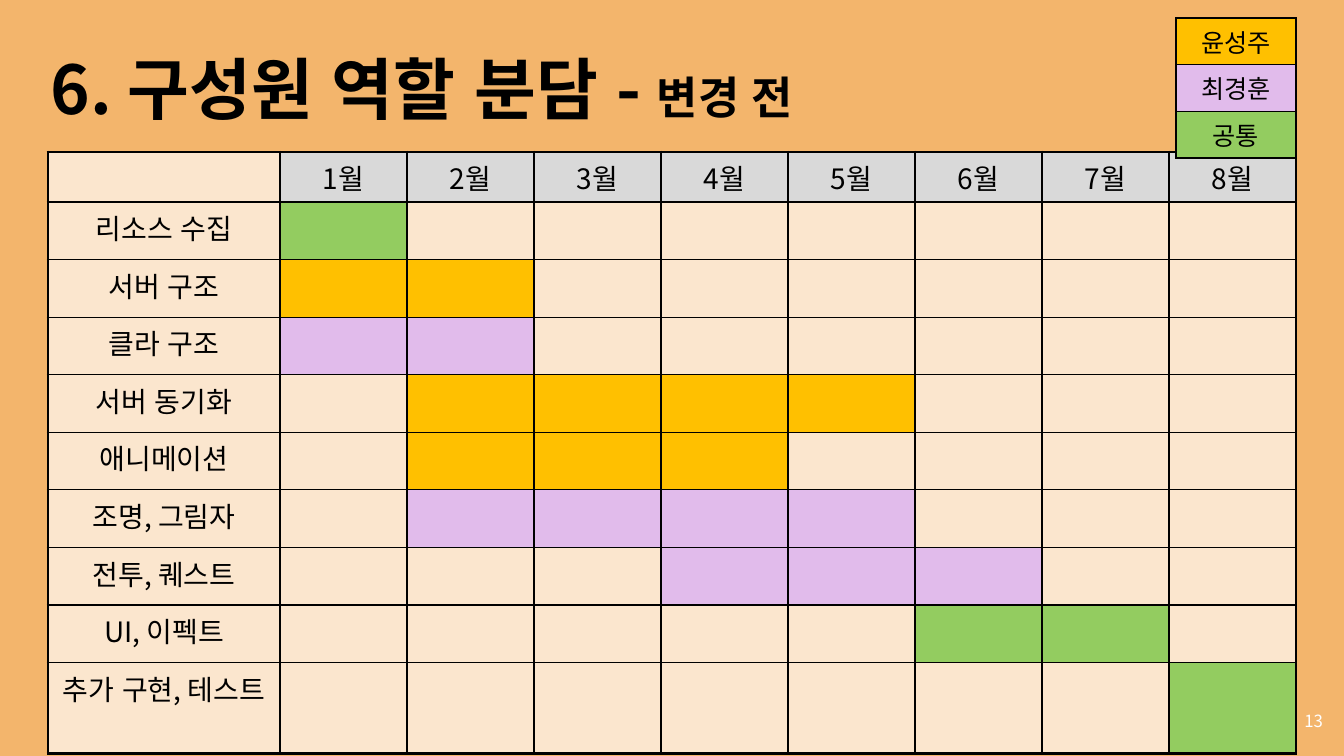
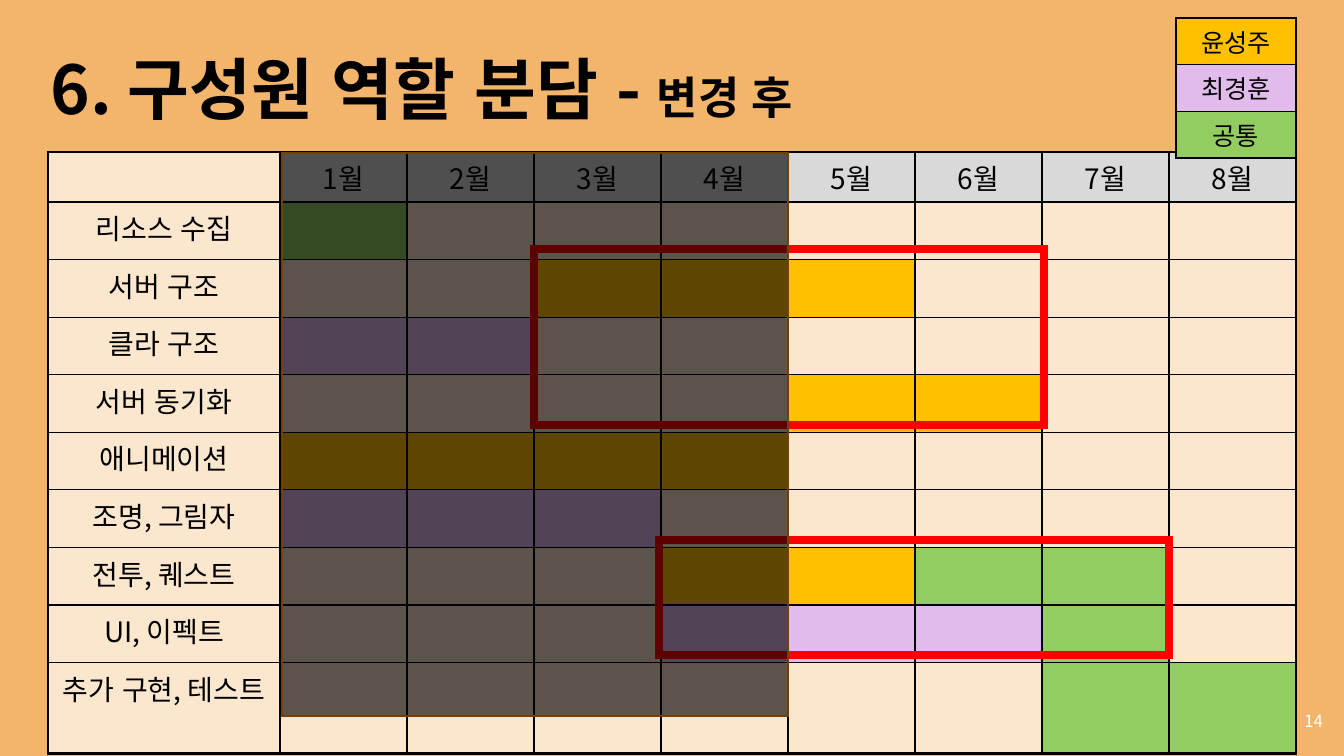
from pptx import Presentation
from pptx.dml.color import RGBColor
from pptx.enum.lang import MSO_LANGUAGE_ID as Language
from pptx.enum.shapes import MSO_SHAPE as Shape
from pptx.enum.text import MSO_ANCHOR as Anchor, PP_ALIGN as Align
from pptx.oxml.ns import qn
from pptx.util import Emu, Pt
from lxml.etree import SubElement

# Shared style
FONT = "Noto Sans CJK KR"
BLACK = RGBColor(0x00, 0x00, 0x00)
WHITE = RGBColor(0xFF, 0xFF, 0xFF)
ORANGE = RGBColor(0xF3, 0xB5, 0x6C)
CREAM = RGBColor(0xFB, 0xE6, 0xCE)
GRAY = RGBColor(0xD9, 0xD9, 0xD9)
YELLOW = RGBColor(0xFF, 0xC0, 0x00)
LILAC = RGBColor(0xE1, 0xBB, 0xEB)
GREEN = RGBColor(0x93, 0xCC, 0x60)
RED = RGBColor(0xFF, 0x00, 0x00)
BROWN = RGBColor(0x71, 0x41, 0x09)
THIN, THICK = 1, 2.25

# Content: one letter per month says who works on the task
TITLE = "6. 구성원 역할 분담 - "
FIRST_PAGE = 13
MONTHS = [f"{month}월" for month in range(1, 9)]
OWNERS = [("윤성주", YELLOW), ("최경훈", LILAC), ("공통", GREEN)]
OWNER_COLORS = {"Y": YELLOW, "L": LILAC, "G": GREEN, ".": CREAM}
TASKS = ["리소스 수집", "서버 구조", "클라 구조", "서버 동기화", "애니메이션",
         "조명, 그림자", "전투, 퀘스트", "UI, 이펙트", "추가 구현, 테스트"]
PLANS = [
    {
        "subtitle": "변경 전",
        "schedule": ["G.......", "YY......", "LL......", ".YYYY...", ".YYY....",
                     ".LLLL...", "...LLL..", ".....GG.", ".......G"],
        "changes": [],
        "elapsed": None,
    },
    {
        "subtitle": "변경 후",
        "schedule": ["G.......", "..YYY...", "LL......", "....YY..", "YYYY....",
                     "LLL.....", "...YYGG.", "...LLLG.", "......GG"],
        "changes": [(659, 540, 510, 115), (534, 249, 510, 176)],
        "elapsed": (282, 153, 506, 563),
    },
]

# Layout in pixels
SLIDE_SIZE = (1344, 756)
TITLE_BOX = (41, 35, 1227, 116)
PAGE_BOX = (1031, 701, 302, 40)
CHART_LEFT, CHART_TOP = 48, 152
TASK_WIDTH, MONTH_WIDTH = 232, 127
HEADER_HEIGHT, TASK_HEIGHT, LAST_HEIGHT = 50, 57.6, 91
LEGEND_BOX = (1176, 18, 120, 140)


def px(length):
    return Emu(round(length * 914400 / 100.8))


def add_run(paragraph, text, size, color=BLACK, bold=False):
    run = paragraph.add_run()
    run.text = text
    run.font.size = Pt(size)
    run.font.bold = bold
    run.font.language_id = Language.KOREAN
    run.font.color.rgb = color
    run.font.name = FONT
    SubElement(run.font._element, qn("a:ea"), typeface=FONT)


def add_text_box(slide, box):
    frame = slide.shapes.add_textbox(*map(px, box)).text_frame
    frame.word_wrap = True
    frame.vertical_anchor = Anchor.MIDDLE
    return frame.paragraphs[0]


def style_cell(cell, text, size, fill, borders):
    """Borders are the left, right, top and bottom widths in points."""
    properties = cell._tc.get_or_add_tcPr()
    for side, width in zip("LRTB", borders):
        line = SubElement(properties, qn(f"a:ln{side}"), w=str(Pt(width)))
        SubElement(SubElement(line, qn("a:solidFill")), qn("a:srgbClr"), val=str(BLACK))
    cell.fill.solid()
    cell.fill.fore_color.rgb = fill
    if text:
        paragraph = cell.text_frame.paragraphs[0]
        paragraph.alignment = Align.CENTER
        add_run(paragraph, text, size)


def add_grid(slide, left, top, widths, heights, cells, size, outline):
    """Cells are rows of (text, fill); the outline is the outer border width."""
    table = slide.shapes.add_table(
        len(heights), len(widths), px(left), px(top), px(sum(widths)), px(sum(heights))).table
    table.first_row = table.horz_banding = False
    for column, width in zip(table.columns, widths):
        column.width = px(width)
    last_row, last_column = len(heights) - 1, len(widths) - 1
    for r, (height, row) in enumerate(zip(heights, cells)):
        table.rows[r].height = px(height)
        for c, (text, fill) in enumerate(row):
            edges = (c == 0, c == last_column, r == 0, r == last_row)
            borders = [outline if edge else THIN for edge in edges]
            style_cell(table.cell(r, c), text, size, fill, borders)


def add_schedule(slide, schedule):
    cells = [[("", CREAM)] + [(month, GRAY) for month in MONTHS]]
    for task, owners in zip(TASKS, schedule):
        cells.append([(task, CREAM)] + [("", OWNER_COLORS[owner]) for owner in owners])
    widths = [TASK_WIDTH] + [MONTH_WIDTH] * len(MONTHS)
    heights = [HEADER_HEIGHT] + [TASK_HEIGHT] * (len(TASKS) - 1) + [LAST_HEIGHT]
    add_grid(slide, CHART_LEFT, CHART_TOP, widths, heights, cells, 20, THICK)


def add_legend(slide):
    left, top, width, height = LEGEND_BOX
    heights = [height / len(OWNERS)] * len(OWNERS)
    add_grid(slide, left, top, [width], heights, [[owner] for owner in OWNERS], 18, THIN)


def add_rectangle(slide, box, line_color, line_width):
    rectangle = slide.shapes.add_shape(Shape.RECTANGLE, *map(px, box))
    rectangle.shadow.inherit = False
    rectangle.fill.background()
    rectangle.line.color.rgb = line_color
    rectangle.line.width = Pt(line_width)
    outline = rectangle._element.spPr.find(qn("a:ln"))
    SubElement(outline, qn("a:miter"), lim="800000")
    return rectangle


def add_elapsed_shade(slide, box):
    shade = add_rectangle(slide, box, BROWN, 1)
    shade.fill.solid()
    shade.fill.fore_color.rgb = BLACK
    color = shade._element.spPr.find(qn("a:solidFill")).find(qn("a:srgbClr"))
    SubElement(color, qn("a:alpha"), val="63000")


presentation = Presentation()
presentation.slide_width, presentation.slide_height = map(px, SLIDE_SIZE)
background = presentation.slide_master.background.fill
background.solid()
background.fore_color.rgb = ORANGE

for page, plan in enumerate(PLANS, FIRST_PAGE):
    slide = presentation.slides.add_slide(presentation.slide_layouts[6])

    # Page number and title
    number = add_text_box(slide, PAGE_BOX)
    number.alignment = Align.RIGHT
    add_run(number, str(page), 12, WHITE)
    title = add_text_box(slide, TITLE_BOX)
    title.line_spacing = 0.9
    add_run(title, TITLE, 48, bold=True)
    add_run(title, plan["subtitle"], 32, bold=True)

    # Schedule and legend
    add_schedule(slide, plan["schedule"])
    add_legend(slide)

    # Changed tasks and months already past
    for box in plan["changes"]:
        add_rectangle(slide, box, RED, 6)
    if plan["elapsed"]:
        add_elapsed_shade(slide, plan["elapsed"])

presentation.save("out.pptx")
